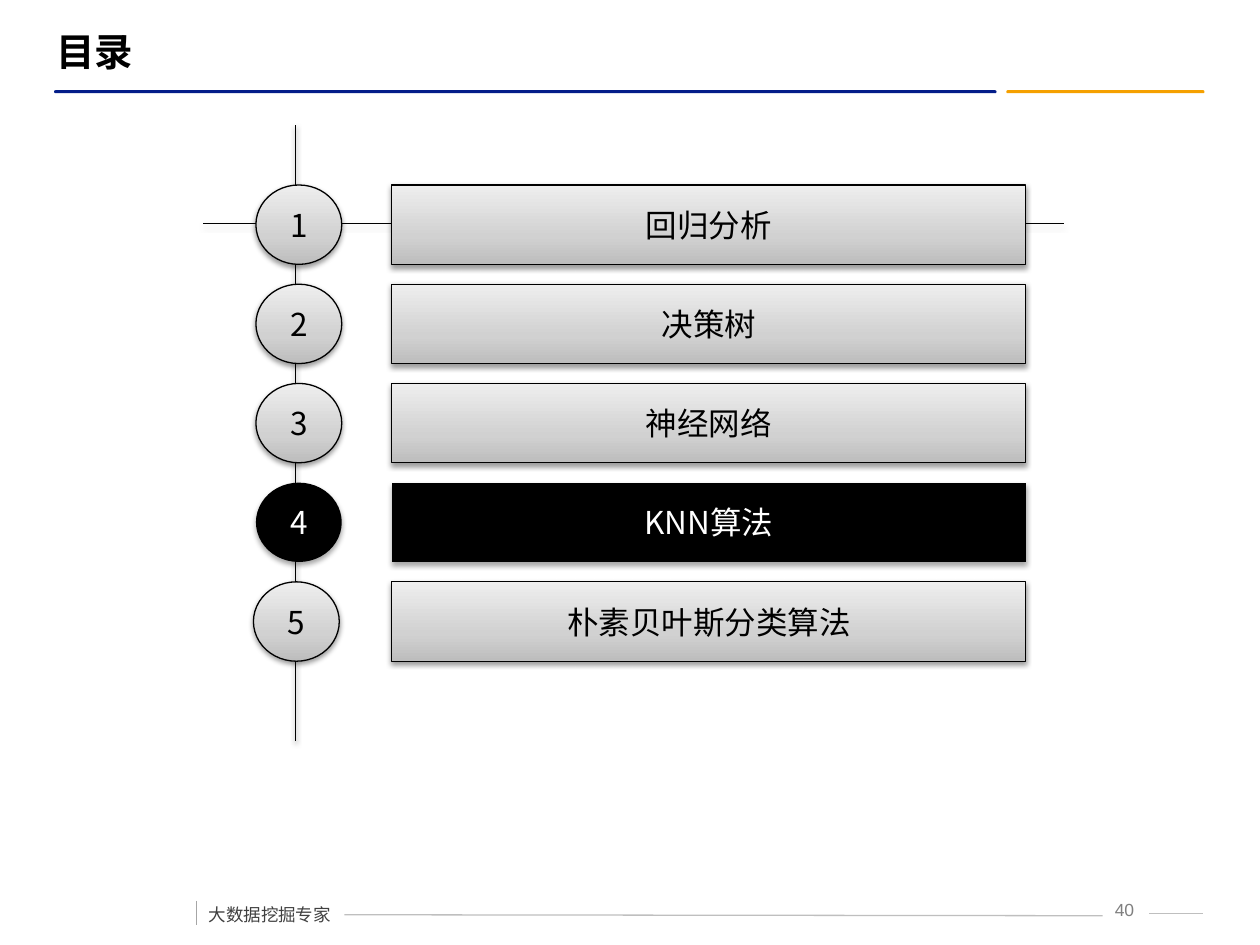
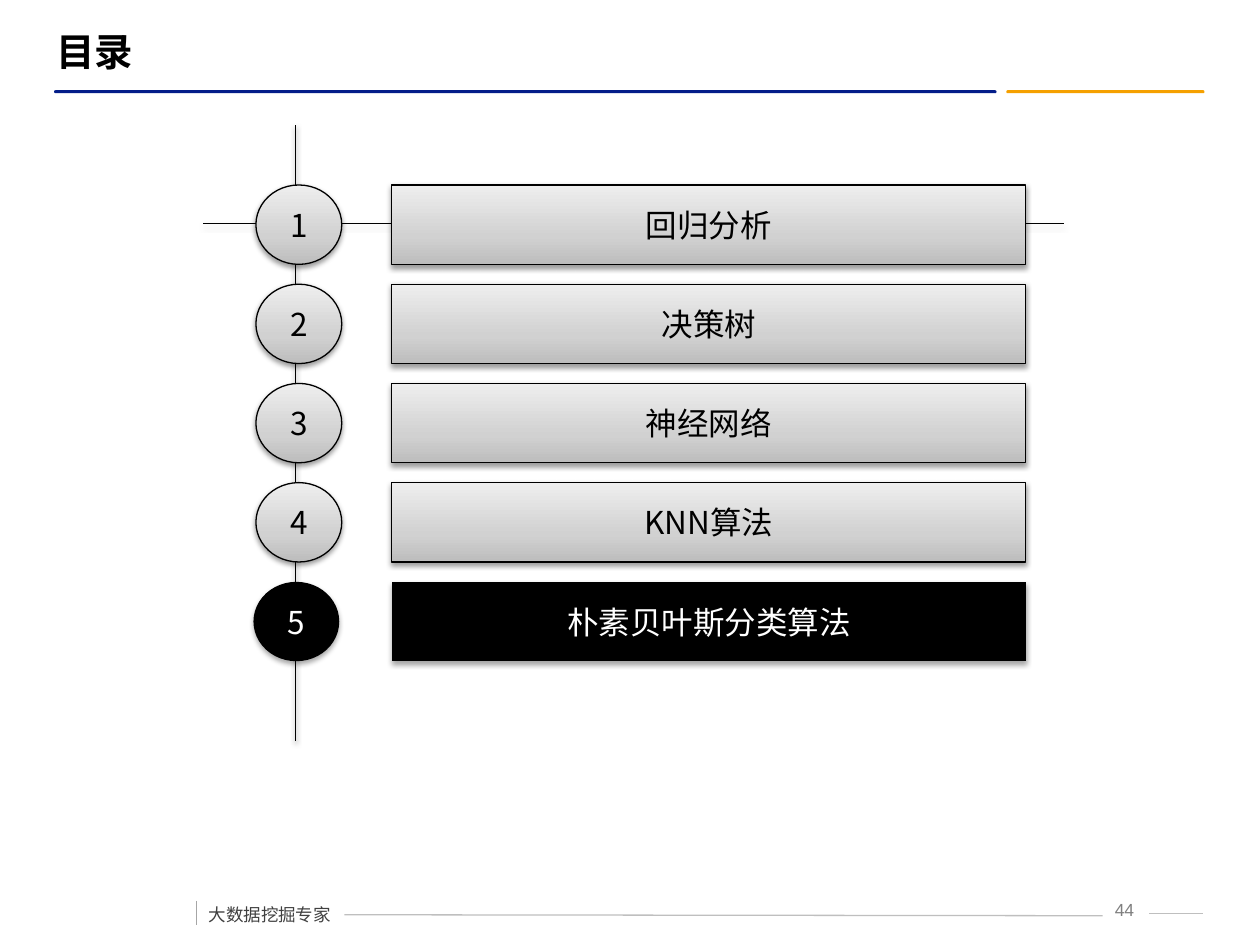
"""Build two agenda pages, each with a different current chapter highlighted."""
import pptx
import pptx.dml.color
import pptx.enum.shapes
import pptx.enum.text
import pptx.oxml.ns
import pptx.util
from lxml import etree

Cm = pptx.util.Cm
Pt = pptx.util.Pt
RGBColor = pptx.dml.color.RGBColor
SHAPE = pptx.enum.shapes.MSO_SHAPE
ALIGN = pptx.enum.text.PP_ALIGN
ANCHOR = pptx.enum.text.MSO_ANCHOR
qn = pptx.oxml.ns.qn

BLACK = RGBColor(0x00, 0x00, 0x00)
WHITE = RGBColor(0xFF, 0xFF, 0xFF)
NAVY = RGBColor(0x03, 0x1D, 0x89)
ORANGE = RGBColor(0xF5, 0xA0, 0x00)
FOOTER_TEXT = RGBColor(0x40, 0x40, 0x40)
NUMBER_GRAY = RGBColor(0x7F, 0x7F, 0x7F)
TICK_GRAY = RGBColor(0xA6, 0xA6, 0xA6)
RULE_GRAY = RGBColor(0xBF, 0xBF, 0xBF)
BUTTON_STOPS = (
    (0, RGBColor(0xBD, 0xBD, 0xBD)),
    (35, RGBColor(0xD1, 0xD1, 0xD1)),
    (100, RGBColor(0xEE, 0xEE, 0xEE)),
)

LATIN_FONT = "Arial"
CHINESE_FONT = "Noto Sans CJK SC"
CHAPTERS = ("回归分析", "决策树", "神经网络", "KNN算法", "朴素贝叶斯分类算法")
ROW_TOP, ROW_PITCH, ROW_HEIGHT = 3.73, 2, 1.6
CIRCLE_LEFTS = (5.16, 5.16, 5.16, 5.16, 5.11)
CIRCLE_WIDTH = 1.73
BAR_LEFT, BAR_WIDTH = 7.9, 12.78


def write_text(box, text, size, color, font=CHINESE_FONT, bold=False, align=ALIGN.LEFT,
               anchor=ANCHOR.TOP, wrap=False, line_spacing=None, space_before=None):
    """Write one formatted paragraph into a shape or text box."""
    frame = box.text_frame
    frame.word_wrap = wrap
    frame.vertical_anchor = anchor
    para = frame.paragraphs[0]
    para.alignment = align
    para.line_spacing = line_spacing
    para.space_before = space_before
    span = para.add_run()
    span.text = text
    span.font.size = Pt(size)
    span.font.bold = bold
    span.font.color.rgb = color
    span.font.name = font
    etree.SubElement(span.font._element, qn("a:ea"), typeface=CHINESE_FONT)


def add_text(page, left, top, width, height, text, **text_format):
    """Add a text box and return it."""
    box = page.shapes.add_textbox(Cm(left), Cm(top), Cm(width), Cm(height))
    write_text(box, text, **text_format)
    return box


def add_shadow(effects, opacity=38, distance=1.6):
    """Put a soft downward shadow into an effect list."""
    shadow = etree.SubElement(
        effects, qn("a:outerShdw"), blurRad=str(Pt(3.1)), dist=str(Pt(distance)),
        dir="5400000", rotWithShape="0")
    color = etree.SubElement(shadow, qn("a:srgbClr"), val=str(BLACK))
    etree.SubElement(color, qn("a:alpha"), val=str(opacity * 1000))


def add_line(page, start, end, color, shadow=False):
    """Draw a thin straight line between two points."""
    line = page.shapes.add_connector(
        pptx.enum.shapes.MSO_CONNECTOR.STRAIGHT, *map(Cm, start + end))
    line.line.color.rgb = color
    line.line.width = Pt(0.75)
    effects = etree.SubElement(line._element.spPr, qn("a:effectLst"))
    if shadow:
        add_shadow(effects)


def add_band(page, left, width, color, roundness):
    """Draw one thin rounded band below the title."""
    band = page.shapes.add_shape(
        SHAPE.ROUNDED_RECTANGLE, Cm(left), Cm(1.82), Cm(width), Cm(0.06))
    band.adjustments[0] = roundness
    band.shadow.inherit = False
    band.fill.solid()
    band.fill.fore_color.rgb = color
    band.line.fill.background()


def fill_gradient(shape):
    """Fill a shape with the gray button gradient, darkest at the bottom."""
    shape.fill.gradient()
    shape.fill.gradient_angle = 90
    stops = shape._element.spPr.find(qn("a:gradFill")).find(qn("a:gsLst"))
    for stop in list(stops):
        stops.remove(stop)
    for position, color in BUTTON_STOPS:
        stop = etree.SubElement(stops, qn("a:gs"), pos=str(position * 1000))
        etree.SubElement(stop, qn("a:srgbClr"), val=str(color))


def add_button(page, kind, left, top, width, text, current):
    """Add a shadowed button, black when it marks the current chapter."""
    button = page.shapes.add_shape(kind, Cm(left), Cm(top), Cm(width), Cm(ROW_HEIGHT))
    if current:
        button.fill.solid()
        button.fill.fore_color.rgb = BLACK
        button.line.fill.background()
    else:
        fill_gradient(button)
        button.line.color.rgb = BLACK
        button.line.width = Pt(0.75)
    button.shadow.inherit = False
    effects = button._element.spPr.find(qn("a:effectLst"))
    if current:
        add_shadow(effects, opacity=35, distance=1.8)
    else:
        add_shadow(effects)
    write_text(button, text, size=18, color=WHITE if current else BLACK,
               align=ALIGN.CENTER, anchor=ANCHOR.MIDDLE)


def add_frame(page, number):
    """Add the title, its bands and the footer."""
    add_band(page, 20.29, 3.99, ORANGE, 0.36)
    add_band(page, 1.09, 19, NAVY, 0.5)
    add_text(page, 0.89, 0.43, 22.6, 1.2, "目录", size=22, color=BLACK,
             font=LATIN_FONT, bold=True, anchor=ANCHOR.MIDDLE, wrap=True)
    add_text(page, 22.02, 18, 1.2, 0.63, f" {number}", size=10, color=NUMBER_GRAY,
             font=LATIN_FONT, align=ALIGN.CENTER, wrap=True)
    add_line(page, (6.94, 18.44), (22.23, 18.46), RULE_GRAY)
    add_line(page, (23.17, 18.41), (24.25, 18.41), RULE_GRAY)
    add_line(page, (3.96, 18.16), (3.96, 18.64), TICK_GRAY)
    footer = add_text(page, 3.96, 17.88, 3, 0.89, "大数据挖掘专家", size=10,
                      color=FOOTER_TEXT, line_spacing=1.5, space_before=Pt(6))
    footer.text_frame.auto_size = pptx.enum.text.MSO_AUTO_SIZE.SHAPE_TO_FIT_TEXT


def add_agenda(page, current_chapter):
    """Add the crossing guide lines and one numbered row per chapter."""
    add_line(page, (5.95, 2.52), (5.95, 14.93), BLACK, shadow=True)
    add_line(page, (4.1, 4.5), (21.44, 4.5), BLACK, shadow=True)
    for index, (chapter, circle_left) in enumerate(zip(CHAPTERS, CIRCLE_LEFTS)):
        top = ROW_TOP + index * ROW_PITCH
        current = index + 1 == current_chapter
        add_button(page, SHAPE.OVAL, circle_left, top, CIRCLE_WIDTH, str(index + 1), current)
        add_button(page, SHAPE.ACTION_BUTTON_CUSTOM, BAR_LEFT, top, BAR_WIDTH, chapter, current)


def main():
    """Build and save the deck."""
    deck = pptx.Presentation()
    deck.slide_width, deck.slide_height = Cm(25.4), Cm(19.05)
    for number, current_chapter in ((40, 4), (44, 5)):
        page = deck.slides.add_slide(deck.slide_layouts[6])
        add_frame(page, number)
        add_agenda(page, current_chapter)
    deck.save("out.pptx")


if __name__ == "__main__":
    main()
